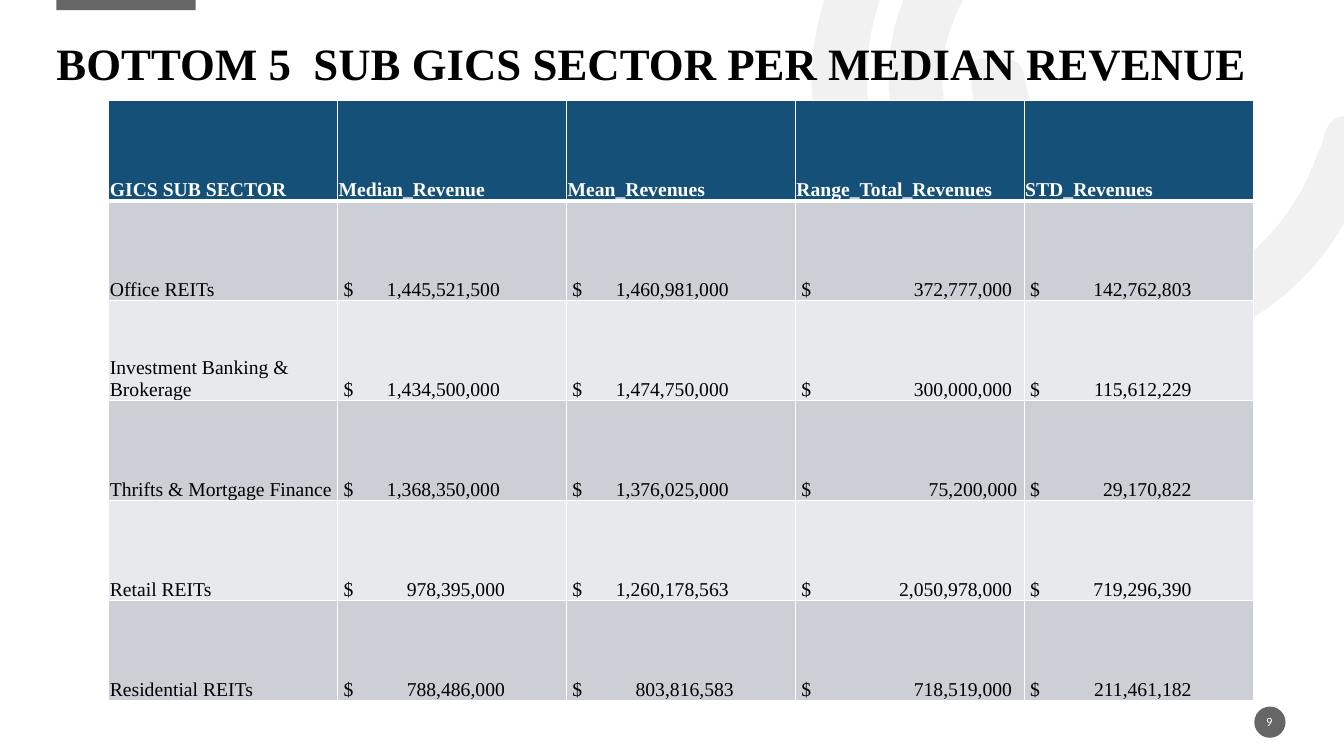
from lxml import etree
from pptx import Presentation
from pptx.dml.color import RGBColor
from pptx.enum.shapes import MSO_SHAPE
from pptx.enum.text import MSO_ANCHOR, PP_ALIGN
from pptx.oxml.ns import qn
from pptx.util import Inches, Pt

COLORS = {
    "grey": "666666", "ring": "E7E6E6", "header": "155078",
    "odd": "CCD0D6", "even": "E8E9EC", "white": "FFFFFF", "black": "000000",
}
SERIF = "Times New Roman"

# Each ring: a start point, then cubic curves (two controls and an end point)
RINGS = [
    ((8.51, 2.29), [
        (7.99, 1.49, 7.87, 0.5, 8.38, -0.5),
        (8.9, -1.52, 9.76, -2.03, 10.9, -2.07),
        (11.05, -2.07, 11.21, -2.1, 11.31, -1.95),
        (11.44, -1.75, 11.27, -1.54, 10.98, -1.54),
        (9.67, -1.54, 8.65, -0.59, 8.6, 0.68),
        (8.56, 1.81, 9.36, 2.81, 10.46, 3.02),
        (11.6, 3.24, 12.7, 2.61, 13.07, 1.52),
        (13.09, 1.48, 13.11, 1.44, 13.12, 1.4),
        (13.16, 1.19, 13.27, 1.11, 13.49, 1.17),
        (13.73, 1.24, 13.67, 1.41, 13.61, 1.56),
        (13.34, 2.45, 12.78, 3.07, 11.91, 3.41),
        (10.7, 3.87, 9.36, 3.45, 8.51, 2.29)]),
    ((9.22, 1.99), [
        (8.62, 1.15, 8.69, 0.07, 9.4, -0.68),
        (9.51, -0.79, 9.62, -0.95, 9.8, -0.78),
        (9.95, -0.64, 9.97, -0.5, 9.79, -0.32),
        (9.25, 0.26, 9.2, 1.08, 9.65, 1.68),
        (10.08, 2.29, 10.88, 2.49, 11.61, 2.15),
        (11.82, 2.05, 11.93, 2.12, 12.03, 2.29),
        (12.13, 2.5, 11.97, 2.56, 11.83, 2.63),
        (10.96, 3.1, 9.83, 2.82, 9.22, 1.99)]),
    ((9.87, 1.51), [
        (9.75, 1.3, 9.64, 1.07, 9.64, 0.82),
        (9.64, 0.73, 9.61, 0.57, 9.76, 0.58),
        (9.92, 0.59, 10.13, 0.53, 10.16, 0.76),
        (10.21, 1.1, 10.36, 1.32, 10.67, 1.48),
        (10.88, 1.57, 10.76, 1.76, 10.72, 1.89),
        (10.68, 2.06, 10.55, 1.98, 10.45, 1.94),
        (10.21, 1.87, 10.03, 1.7, 9.87, 1.51)]),
]

HEADERS = ["GICS SUB SECTOR", "Median_Revenue", "Mean_Revenues",
           "Range_Total_Revenues", "STD_Revenues"]
SECTORS = [
    ("Office REITs", 1445521500, 1460981000, 372777000, 142762803),
    ("Investment Banking & Brokerage", 1434500000, 1474750000, 300000000, 115612229),
    ("Thrifts & Mortgage Finance", 1368350000, 1376025000, 75200000, 29170822),
    ("Retail REITs", 978395000, 1260178563, 2050978000, 719296390),
    ("Residential REITs", 788486000, 803816583, 718519000, 211461182),
]
# Right edge of the amounts per column; amounts under the limit sit 0.05 further right
AMOUNT_RIGHT_EDGES = [1.6, 1.6, 2.14, 1.65]
SHIFT_LIMITS = [1e9, 1e9, 1e8, 0]


def paint(shape, color):
    shape.shadow.inherit = False
    shape.fill.solid()
    shape.fill.fore_color.rgb = RGBColor.from_string(COLORS[color])
    shape.line.fill.background()


def add_text(left, top, width, height, text, size, font_name, color):
    """Add a text box without insets and return it."""
    box = slide.shapes.add_textbox(Inches(left), Inches(top), Inches(width), Inches(height))
    frame = box.text_frame
    frame.word_wrap = True
    frame.margin_left = frame.margin_right = frame.margin_top = frame.margin_bottom = 0
    frame.text = text
    font = frame.paragraphs[0].runs[0].font
    font.size, font.name = Pt(size), font_name
    font.color.rgb = RGBColor.from_string(COLORS[color])
    return box


presentation = Presentation()
presentation.slide_width = Inches(13.33)
presentation.slide_height = Inches(7.5)
slide = presentation.slides.add_slide(presentation.slide_layouts[6])

# Background decoration
paint(slide.shapes.add_shape(MSO_SHAPE.RECTANGLE, Inches(0.56), Inches(-0.02),
                             Inches(1.38), Inches(0.12)), "grey")
paint(slide.shapes.add_shape(MSO_SHAPE.OVAL, Inches(12.44), Inches(7.01),
                             Inches(0.31), Inches(0.31)), "grey")
for start, curves in RINGS:
    points = [(Inches(curve[i]), Inches(curve[i + 1])) for curve in curves for i in (0, 2, 4)]
    builder = slide.shapes.build_freeform(Inches(start[0]), Inches(start[1]))
    builder.add_line_segments(points, close=True)
    ring = builder.convert_to_shape()
    paint(ring, "ring")
    ring_color = ring.fill._xPr.find(qn("a:solidFill")).find(qn("a:srgbClr"))
    etree.SubElement(ring_color, qn("a:alpha"), val="53000")
    # Turn every three line segments into one cubic curve
    segments = list(ring._element.iter(qn("a:lnTo")))
    for first in range(0, len(curves) * 3, 3):
        curve = etree.Element(qn("a:cubicBezTo"))
        segments[first].addprevious(curve)
        for segment in segments[first:first + 3]:
            curve.append(segment[0])
            segment.getparent().remove(segment)

# Title and page number
title = add_text(0.56, 0.24, 12.19, 0.65, "BOTTOM 5  SUB GICS SECTOR PER MEDIAN REVENUE",
                 32, SERIF, "black")
title.text_frame.vertical_anchor = MSO_ANCHOR.BOTTOM
title.text_frame.paragraphs[0].line_spacing = 0.9
title.text_frame.paragraphs[0].runs[0].font.bold = True
page_number = add_text(12.43, 7.06, 0.32, 0.2, "9", 9, "Calibri", "white")
page_number.text_frame.vertical_anchor = MSO_ANCHOR.MIDDLE
page_number.text_frame.paragraphs[0].alignment = PP_ALIGN.CENTER

# Revenue table
rows = [HEADERS] + SECTORS
table = slide.shapes.add_table(len(rows), len(HEADERS), Inches(1.08), Inches(1),
                               Inches(11.35), Inches(5.95)).table
for row_index, row in enumerate(rows):
    is_header = row_index == 0
    for column_index, value in enumerate(row):
        cell = table.cell(row_index, column_index)
        cell.vertical_anchor = MSO_ANCHOR.BOTTOM
        cell.margin_left = cell.margin_right = cell.margin_top = Inches(0.01)
        cell.margin_bottom = 0
        is_amount = not is_header and column_index > 0
        cell.text_frame.text = f" $\t{value:,}" if is_amount else value
        paragraph = cell.text_frame.paragraphs[0]
        if is_amount:
            edge = AMOUNT_RIGHT_EDGES[column_index - 1]
            if value < SHIFT_LIMITS[column_index - 1]:
                edge += 0.05
            tab_list = etree.SubElement(paragraph._p.get_or_add_pPr(), qn("a:tabLst"))
            etree.SubElement(tab_list, qn("a:tab"), pos=str(Inches(edge)), algn="r")
        font = paragraph.runs[0].font
        font.size, font.name, font.bold = Pt(14), SERIF, is_header
        font.color.rgb = RGBColor.from_string(COLORS["white" if is_header else "black"])

        properties = cell._tc.get_or_add_tcPr()
        for side in "LRB" if row_index == 1 else "LRTB":
            width = Pt(3 if is_header and side == "B" else 1)
            border = etree.SubElement(properties, qn(f"a:ln{side}"), w=str(width))
            border_fill = etree.SubElement(border, qn("a:solidFill"))
            etree.SubElement(border_fill, qn("a:srgbClr"), val=COLORS["white"])
        cell.fill.solid()
        fill_name = "header" if is_header else "odd" if row_index % 2 else "even"
        cell.fill.fore_color.rgb = RGBColor.from_string(COLORS[fill_name])

presentation.save("out.pptx")
